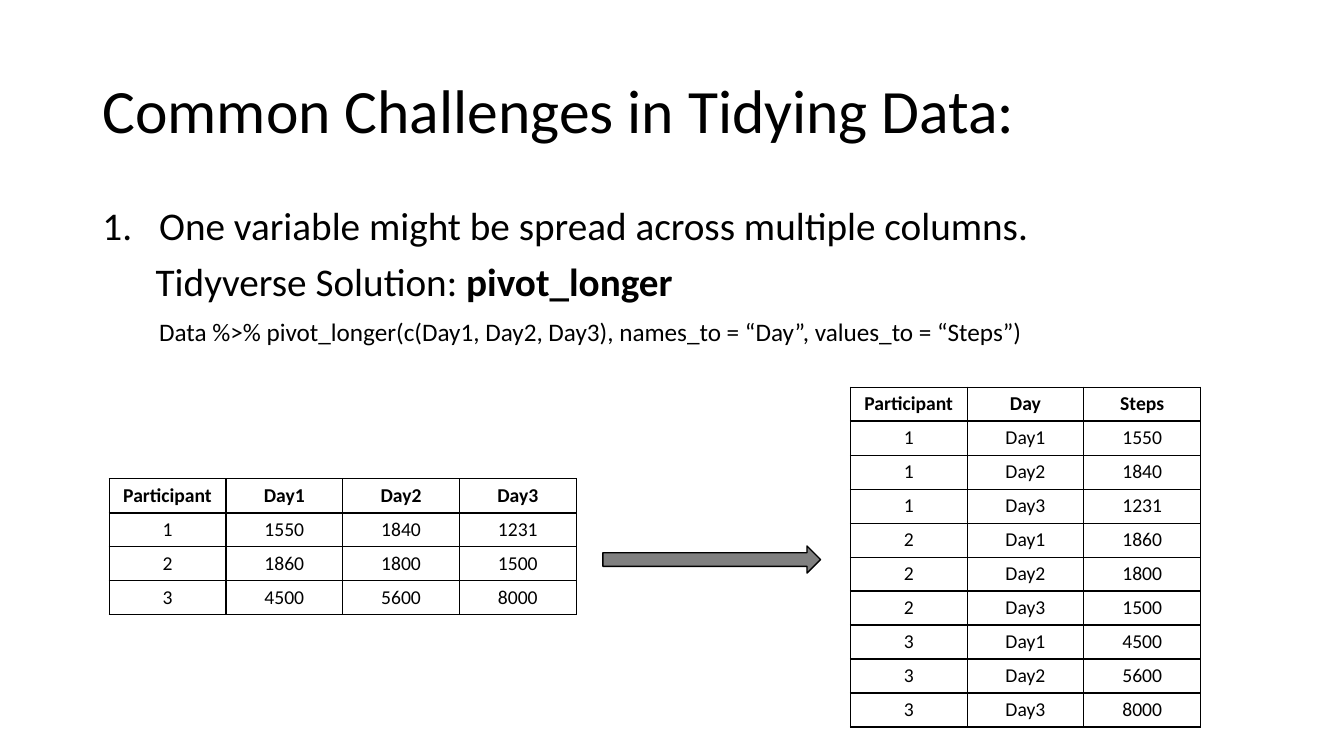
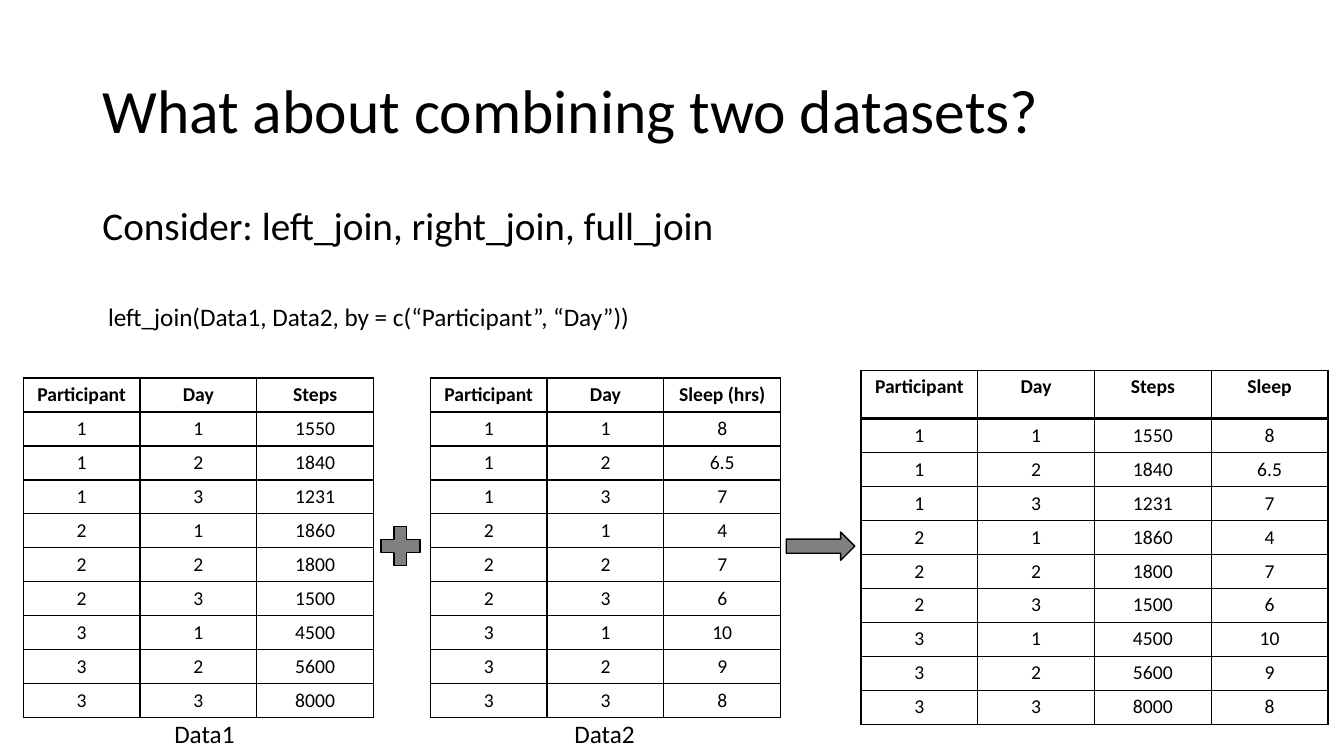
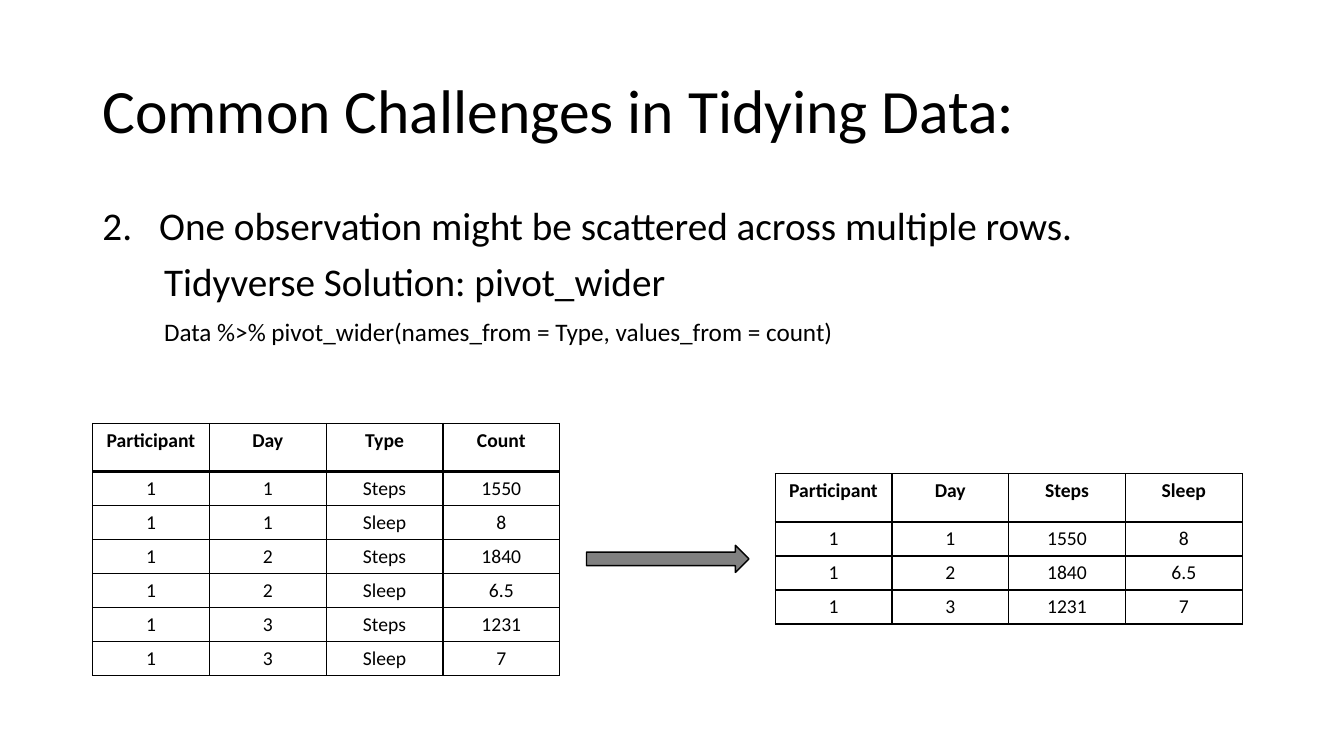
from dataclasses import dataclass
from itertools import product

from lxml.etree import SubElement
from pptx import Presentation
from pptx.dml.color import RGBColor
from pptx.enum.shapes import MSO_SHAPE
from pptx.enum.text import MSO_AUTO_SIZE, PP_ALIGN
from pptx.oxml import parse_xml
from pptx.oxml.ns import nsdecls, qn
from pptx.util import Pt


@dataclass(frozen=True)
class Theme:
    font: str = "Calibri"
    ink: str = "000000"
    grey: str = "808080"
    title: int = 44
    body: int = 28
    code: int = 18
    cell: int = 14
    line: int = 1
    header_line: int = 2
    col_w: float = 83.4
    row_h: float = 24


T = Theme()
INK = RGBColor.from_string(T.ink)


def add_grid(s, x, y, header, rows, header_h=T.row_h):
    """Add a ruled table with a bold header and a heavier line below it."""
    cells = [header, *rows]
    height = header_h + T.row_h * len(rows)
    tbl = s.shapes.add_table(len(cells), len(header), Pt(x), Pt(y),
                             Pt(T.col_w * len(header)), Pt(height)).table
    tbl.first_row = tbl.horz_banding = False
    for col in tbl.columns:
        col.width = Pt(T.col_w)
    for i, row in enumerate(cells):
        tbl.rows[i].height = Pt(T.row_h if i else header_h)
        for j, value in enumerate(row):
            cell = tbl.cell(i, j)
            p = cell.text_frame.paragraphs[0]
            p.text = str(value)
            p.alignment = PP_ALIGN.CENTER
            font = p.runs[0].font
            font.name, font.size, font.bold = T.font, Pt(T.cell), i == 0
            font.color.rgb = INK
            tcPr = cell._tc.get_or_add_tcPr()
            for side in "LRTB":
                heavy = (i, side) in ((0, "B"), (1, "T"))
                width = Pt(T.header_line if heavy else T.line)
                ln = SubElement(tcPr, qn(f"a:ln{side}"), w=str(width))
                fill = SubElement(ln, qn("a:solidFill"))
                SubElement(fill, qn("a:srgbClr"), val=T.ink)
            cell.fill.background()


def add_symbol(s, kind, x, y, w, h):
    """Add a grey arrow or plus sign between tables."""
    sp = s.shapes.add_shape(kind, Pt(x), Pt(y), Pt(w), Pt(h))
    sp.shadow.inherit = False
    sp.fill.solid()
    sp.fill.fore_color.rgb = RGBColor.from_string(T.grey)
    sp.line.color.rgb = INK
    sp.line.width = Pt(T.line)


prs = Presentation()
prs.slide_width, prs.slide_height = Pt(960), Pt(540)

# Shared title and body style, set on the master
master = prs.slide_master
boxes = [(66, 28.8, 828, 104.4), (66, 144, 828, 342.6)]
styles = [("p:titleStyle", T.title, 0), ("p:bodyStyle", T.body, 10)]
for sp, box, (tag, size, before) in zip(master.placeholders, boxes, styles):
    sp.left, sp.top, sp.width, sp.height = map(Pt, box)
    style = next(master.element.iter(qn(tag)))
    style.replace(style.find(qn("a:lvl1pPr")), parse_xml(
        f'<a:lvl1pPr {nsdecls("a")} marL="0" indent="0" algn="l">'
        f'<a:lnSpc><a:spcPct val="90000"/></a:lnSpc>'
        f'<a:spcBef><a:spcPts val="{before * 100}"/></a:spcBef><a:buNone/>'
        f'<a:defRPr sz="{size * 100}"><a:solidFill><a:srgbClr val="{T.ink}"/></a:solidFill>'
        f'<a:latin typeface="{T.font}"/></a:defRPr></a:lvl1pPr>'))

# Titles and body text: (text, bold ending, size, left margin, list number, space before)
HANG = 40.5
contents = [
    ("Common Challenges in Tidying Data:", [
        ("One variable might be spread across multiple columns.", "", T.body, HANG, 1, 10),
        ("Tidyverse Solution: ", "pivot_longer", T.body, 38, None, 10),
        ("Data %>% pivot_longer(c(Day1, Day2, Day3), names_to = “Day”, values_to = “Steps”)",
         "", T.code, 40.5, None, 10)]),
    ("What about combining two datasets?", [
        ("Consider: left_join, right_join, full_join", "", T.body, 0, None, 10),
        ("left_join(Data1, Data2, by = c(“Participant”, “Day”))", "", T.code, 4, None, 40)]),
    ("Common Challenges in Tidying Data:", [
        ("One observation might be scattered across multiple rows.", "", T.body, HANG, 2, 10),
        ("Tidyverse Solution: pivot_wider", "", T.body, 44, None, 10),
        ("Data %>% pivot_wider(names_from = Type, values_from = count)",
         "", T.code, 44, None, 10)]),
]
slides = []
for title, lines in contents:
    s = prs.slides.add_slide(prs.slide_layouts[1])
    slides.append(s)
    s.shapes.title.text_frame.text = title
    tf = s.placeholders[1].text_frame
    for k, (text, bold_text, size, margin, number, before) in enumerate(lines):
        p = tf.add_paragraph() if k else tf.paragraphs[0]
        p.text = text
        p.space_before = Pt(before)
        if bold_text:
            r = p.add_run()
            r.text, r.font.bold = bold_text, True
        for r in p.runs:
            r.font.size = Pt(size)
        pPr = p._p.get_or_add_pPr()
        pPr.set("marL", str(Pt(margin)))
        if number:
            pPr.set("indent", str(-Pt(HANG)))
            SubElement(pPr, qn("a:buFont"), typeface="+mj-lt")
            SubElement(pPr, qn("a:buAutoNum"), type="arabicPeriod", startAt=str(number))
longer, joining, wider = slides

# Data: one row per participant, one value per day
steps = [[1550, 1840, 1231], [1860, 1800, 1500], [4500, 5600, 8000]]
sleep = [[8, 6.5, 7], [4, 7, 6], [10, 9, 8]]
keys = list(product(range(3), range(3)))
TALL = 34.5

# Slide 1: wide to long
add_grid(longer, 78, 342, ["Participant", "Day1", "Day2", "Day3"],
         [[i + 1, *row] for i, row in enumerate(steps)])
add_grid(longer, 607.4, 276.6, ["Participant", "Day", "Steps"],
         [[i + 1, f"Day{d + 1}", steps[i][d]] for i, d in keys])
add_symbol(longer, MSO_SHAPE.RIGHT_ARROW, 430.6, 390, 155.5, 19.4)

# Slide 2: two tables joined into one
add_grid(joining, 16.6, 270, ["Participant", "Day", "Steps"],
         [[i + 1, d + 1, steps[i][d]] for i, d in keys])
add_grid(joining, 307.4, 270, ["Participant", "Day", "Sleep (hrs)"],
         [[i + 1, d + 1, sleep[i][d]] for i, d in keys])
add_grid(joining, 615, 264.4, ["Participant", "Day", "Steps", "Sleep"],
         [[i + 1, d + 1, steps[i][d], sleep[i][d]] for i, d in keys], TALL)
add_symbol(joining, MSO_SHAPE.MATH_PLUS, 267, 371, 38, 38)
add_symbol(joining, MSO_SHAPE.RIGHT_ARROW, 561.6, 380, 49, 20.2)
for name, x in (("Data1", 117.4), ("Data2", 403.2)):
    tf = joining.shapes.add_textbox(Pt(x), Pt(509.8), Pt(139.7), Pt(29)).text_frame
    tf.word_wrap = True
    tf.auto_size = MSO_AUTO_SIZE.SHAPE_TO_FIT_TEXT
    tf.text = name
    font = tf.paragraphs[0].runs[0].font
    font.name, font.size = T.font, Pt(T.code)
    font.color.rgb = INK

# Slide 3: long to wide, first participant only
measures = {"Steps": steps[0], "Sleep": sleep[0]}
add_grid(wider, 66.2, 302.4, ["Participant", "Day", "Type", "Count"],
         [[1, d + 1, kind, values[d]] for d in range(3)
          for kind, values in measures.items()], TALL)
add_grid(wider, 553.7, 338.4, ["Participant", "Day", *measures],
         [[1, d + 1, steps[0][d], sleep[0][d]] for d in range(3)], TALL)
add_symbol(wider, MSO_SHAPE.RIGHT_ARROW, 419, 389.5, 116, 19.4)

prs.save("out.pptx")
